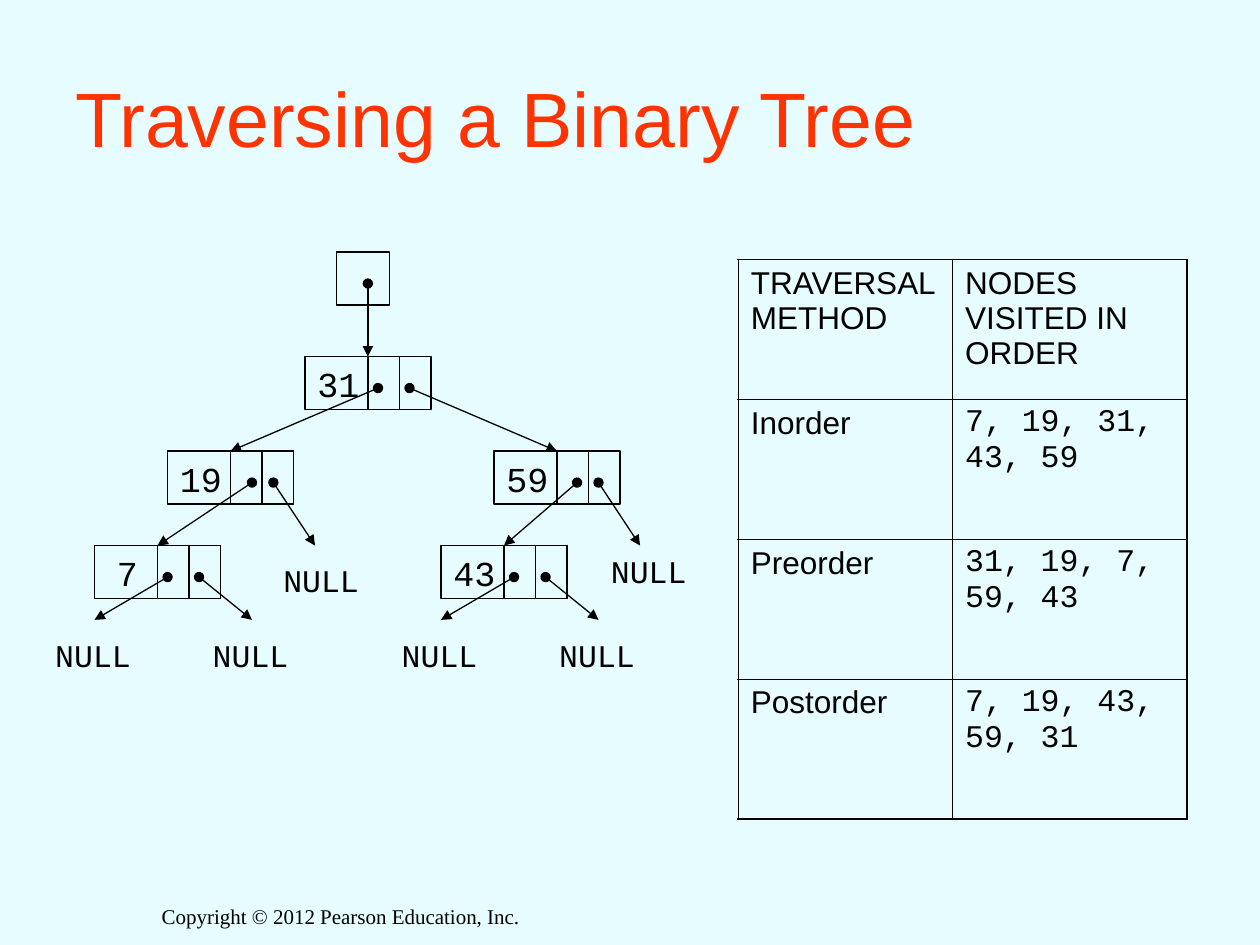
from lxml.etree import SubElement
from pptx import Presentation
from pptx.dml.color import RGBColor
from pptx.enum.shapes import MSO_CONNECTOR, MSO_SHAPE
from pptx.enum.text import MSO_ANCHOR, PP_ALIGN
from pptx.oxml.ns import qn
from pptx.util import Inches, Pt

BLACK = "000000"
SANS, MONO, SERIF = "Arial", "Courier New", "Times New Roman"

# Each node: left, top, x of its left and right pointer dots, label inset
NODES = {
    "31": (2.42, 2.83, 0.58, 0.83, 0),
    "59": (3.92, 3.58, 0.66, 0.83, 0),
    "19": (1.33, 3.58, 0.67, 0.84, 0),
    "7": (0.75, 4.33, 0.58, 0.83, 0.08),
    "43": (3.5, 4.33, 0.58, 0.83, 0),
}
# Parent, side (0 left, 1 right), child
LINKS = [("31", 0, "19"), ("31", 1, "59"), ("19", 0, "7"), ("59", 0, "43")]
# Parent, side, arrow tip, NULL label corner
NULLS = [
    ("19", 1, (2.5, 4.33), (2.15, 4.4)),
    ("59", 1, (5.08, 4.33), (4.75, 4.33)),
    ("7", 0, (0.75, 4.92), (0.34, 5)),
    ("7", 1, (2, 4.92), (1.59, 5)),
    ("43", 0, (3.5, 4.92), (3.09, 5)),
    ("43", 1, (4.75, 4.92), (4.34, 5)),
]
ROWS = [
    ("TRAVERSAL METHOD", "NODES VISITED IN ORDER"),
    ("Inorder", "7, 19, 31, 43, 59"),
    ("Preorder", "31, 19, 7, 59, 43"),
    ("Postorder", "7, 19, 43, 59, 31"),
]
COLS = (1.7, 1.86)
ROW_H = 1.11
NODE_W, BOX_H, LINK_W = 1, 0.42, 0.25
DIGIT_W = 0.17

deck = Presentation()
deck.slide_width, deck.slide_height = Inches(10), Inches(7.5)
slide = deck.slides.add_slide(deck.slide_layouts[6])


def color(code):
    return RGBColor.from_string(code)


def write(para, text, size, font, code=BLACK):
    run = para.add_run()
    run.text = text
    run.font.size, run.font.name = Pt(size), font
    run.font.color.rgb = color(code)


def label(text, x, y, w, h, size, font, code=BLACK, wrap=False):
    box = slide.shapes.add_textbox(Inches(x), Inches(y), Inches(w), Inches(h))
    frame = box.text_frame
    frame.word_wrap = wrap
    write(frame.paragraphs[0], text, size, font, code)
    return frame


def rect(x, y, w):
    box = slide.shapes.add_shape(
        MSO_SHAPE.RECTANGLE, Inches(x), Inches(y), Inches(w), Inches(BOX_H))
    box.shadow.inherit = False
    box.fill.background()
    box.line.color.rgb = color(BLACK)
    box.line.width = Pt(0.75)
    return box


def arrow(start, tip, child=None):
    line = slide.shapes.add_connector(
        MSO_CONNECTOR.STRAIGHT, *map(Inches, start + tip))
    if child is not None:
        line.end_connect(child, 0)
    line.line.color.rgb = color(BLACK)
    line.line.width = Pt(0.75)
    props = line._element.spPr
    ends = props.find(qn("a:ln"))
    SubElement(ends, qn("a:headEnd"), type="oval")
    SubElement(ends, qn("a:tailEnd"), type="triangle")
    SubElement(props, qn("a:effectLst"))


def border(cell, side, width):
    edge = SubElement(cell._tc.get_or_add_tcPr(), qn("a:ln" + side),
                      w=str(Pt(width)))
    fill = SubElement(edge, qn("a:solidFill"))
    SubElement(fill, qn("a:srgbClr"), val=BLACK)


def dot(name, side):
    x, y, *dots, _ = NODES[name]
    return x + dots[side], y + 0.25


# Background, title and footer
back = slide.background.fill
back.solid()
back.fore_color.rgb = color("E6FCFE")
title = label("Traversing a Binary Tree", 0.5, 0.3, 9, 1.25, 44, SANS,
              "FF3300", wrap=True)
title.vertical_anchor = MSO_ANCHOR.MIDDLE
foot = label("Copyright © 2012 Pearson Education, Inc.", 1.08, 7.12, 3.25, 0.61,
             12, SERIF, wrap=True)
foot.paragraphs[0].alignment = PP_ALIGN.CENTER

# Traversal table
table = slide.shapes.add_table(
    len(ROWS), len(COLS), Inches(5.86), Inches(2.06),
    Inches(sum(COLS)), Inches(ROW_H * len(ROWS))).table
table.first_row = table.horz_banding = False
for col, width in zip(table.columns, COLS):
    col.width = Inches(width)
for r, texts in enumerate(ROWS):
    table.rows[r].height = Inches(ROW_H)
    for c, text in enumerate(texts):
        cell = table.cell(r, c)
        cell.margin_left = cell.margin_right = Inches(0.1)
        cell.margin_top = cell.margin_bottom = Inches(0.05)
        outer = {"L": c == 0, "R": c == len(COLS) - 1,
                 "T": r == 0, "B": r == len(ROWS) - 1}
        for side, edge in outer.items():
            border(cell, side, 1.08 if edge else 0.45)
        cell.fill.background()
        write(cell.text_frame.paragraphs[0], text, 18,
              MONO if r and c else SANS)

# Root pointer and tree nodes
rect(2.67, 2, BOX_H)
boxes = {}
for name, (x, y, *_) in NODES.items():
    boxes[name] = rect(x, y, NODE_W)
    for k in (1, 2):
        rect(x + NODE_W - k * LINK_W, y, LINK_W)

# Arrows
arrow((2.92, 2.25), (2.92, 2.83), boxes["31"])
for name, side, child in LINKS:
    x, y, *_ = NODES[child]
    arrow(dot(name, side), (x + NODE_W / 2, y), boxes[child])
for name, side, tip, _ in NULLS:
    arrow(dot(name, side), tip)

# Node values and NULL labels
for name, (x, y, _, _, inset) in NODES.items():
    label(name, x + inset, y, 0.2 + DIGIT_W * len(name), 0.44, 20, MONO)
for *_, (x, y) in NULLS:
    label("NULL", x, y, 0.8, 0.4, 18, MONO)

deck.save("out.pptx")
